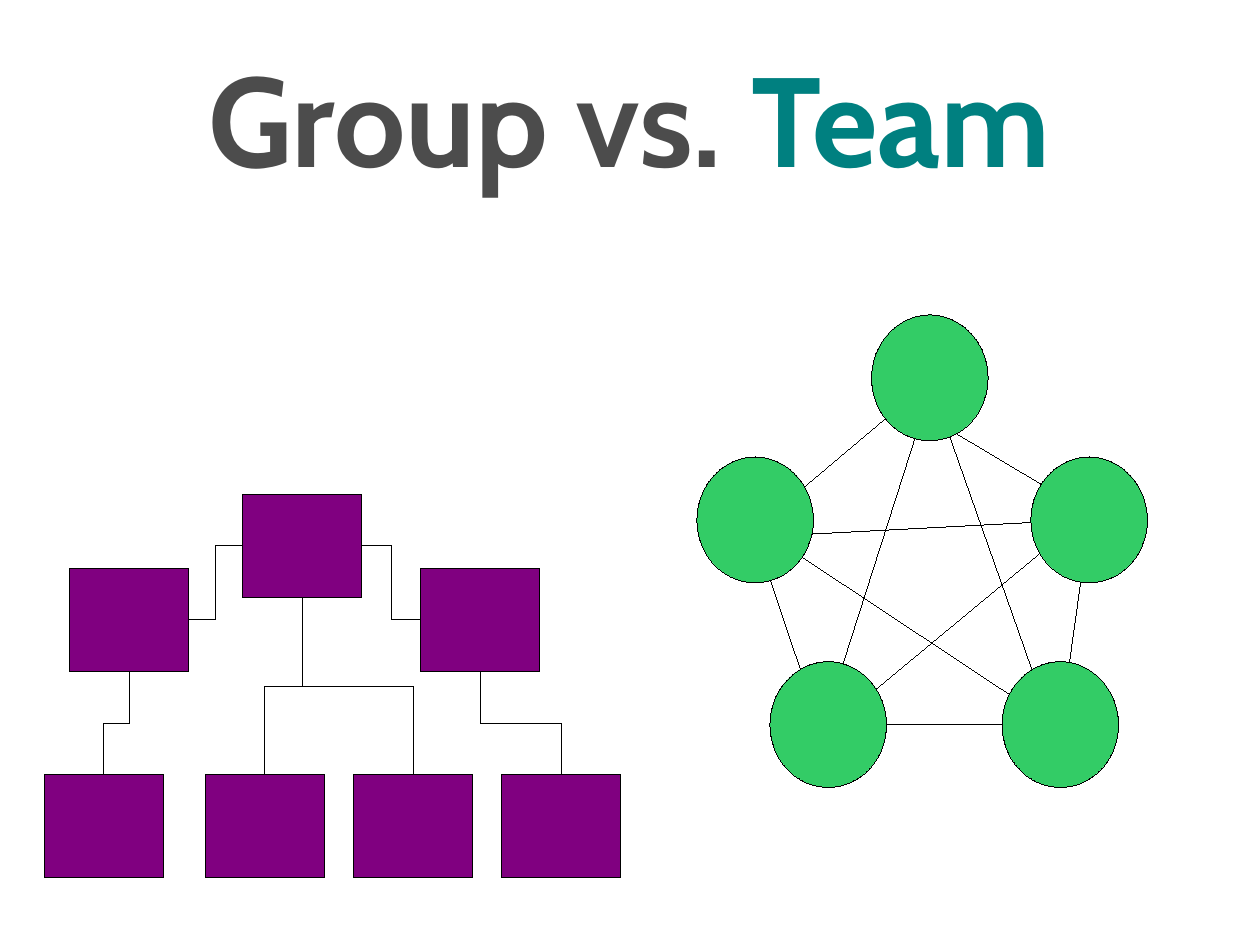
import pptx
import pptx.dml.color
import pptx.enum.shapes
import pptx.enum.text
import pptx.oxml
import pptx.oxml.ns
import pptx.util

Pt = pptx.util.Pt
RGB = pptx.dml.color.RGBColor
SHAPE = pptx.enum.shapes.MSO_SHAPE
LINK = pptx.enum.shapes.MSO_CONNECTOR
TEXT = pptx.enum.text

BLACK = RGB(0x00, 0x00, 0x00)
GREY = RGB(0x4C, 0x4C, 0x4C)
TEAL = RGB(0x00, 0x80, 0x80)
PURPLE = RGB(0x80, 0x00, 0x80)
GREEN = RGB(0x33, 0xCC, 0x66)

HAIR = Pt(0.01)
TOP, LEFT, BOTTOM, RIGHT = range(4)
SIZE = {"slide_width": Pt(793.7), "slide_height": Pt(595.28)}
FRAME = {"margin_left": 0, "margin_right": 0, "margin_top": 0, "margin_bottom": 0,
         "word_wrap": True, "vertical_anchor": TEXT.MSO_ANCHOR.MIDDLE}
FONT = {"name": "Cabin", "size": Pt(80), "bold": True}

# Offsets in points from the corner of each diagram's box
BOSS = (124.8, 0)
LEADS = [(15.8, 46.6), (236.9, 46.6)]
STAFF = [(0, 176.6), (101.4, 176.6), (194.8, 176.6), (288.2, 176.6)]
MATES = [(0, 89.5), (46, 218.4), (110, 0), (192.2, 218.4), (210.4, 89.5)]
TIES = [
    (146.4, 49.2, 83, 247.9), (137.7, 59.3, 237.8, 119),
    (146.4, 39.8, 219.8, 247.9), (137.7, 49.2, 54.9, 119),
    (36.9, 139.2, 73.6, 247.9), (83, 258, 219.8, 258),
    (247.2, 129.1, 229.2, 258), (49.9, 139.2, 242.1, 129.1),
    (229.2, 139.2, 73.6, 268.1), (210.4, 247.9, 46.3, 139.2),
]


def style(item, values):
    for key, value in values.items():
        setattr(item, key, value)


def outline(item):
    item.line.color.rgb = BLACK
    item.line.width = HAIR


def node(slide, kind, box, color):
    shape = slide.shapes.add_shape(kind, *map(Pt, box))
    shape.shadow.inherit = False
    shape.fill.solid()
    shape.fill.fore_color.rgb = color
    outline(shape)
    return shape


def link(slide, kind, ends):
    line = slide.shapes.add_connector(kind, *ends)
    outline(line)
    line._element.spPr.append(pptx.oxml.parse_xml(
        "<a:effectLst %s/>" % pptx.oxml.ns.nsdecls("a")))
    return line


def join(slide, start, start_side, end, end_side):
    line = link(slide, LINK.ELBOW, (start.left, start.top, end.left, end.top))
    line.begin_connect(start, start_side)
    line.end_connect(end, end_side)
    return line


def drop(slide, boss, child):
    """Join two boxes by an elbow that leaves downwards."""
    line = join(slide, boss, BOTTOM, child, TOP)
    across = line.end_x - line.begin_x
    down = line.end_y - line.begin_y
    mid_x = (line.begin_x + line.end_x) // 2
    mid_y = (line.begin_y + line.end_y) // 2
    style(line, {"left": mid_x - down // 2, "top": mid_y - abs(across) // 2,
                 "width": down, "height": abs(across)})
    turn = 270 if across > 0 else 90
    style(line._element.spPr.get_or_add_xfrm(),
          {"rot": turn, "flipH": across > 0, "flipV": False})


def title(slide, x, y, w, h):
    frame = slide.shapes.add_textbox(*map(Pt, (x, y, w, h))).text_frame
    style(frame, FRAME)
    para = frame.paragraphs[0]
    para.alignment = TEXT.PP_ALIGN.CENTER
    for text, color in [("Group vs.", GREY), (" Team", TEAL)]:
        run = para.add_run()
        run.text = text
        style(run.font, FONT)
        run.font.color.rgb = color


def group(slide, x, y, w, h):
    """Draw the tree of boxes, each w by h."""
    def box(spot):
        return node(slide, SHAPE.RECTANGLE, (x + spot[0], y + spot[1], w, h), PURPLE)

    boss = box(BOSS)
    left, right = map(box, LEADS)
    staff = [box(spot) for spot in STAFF]
    for lead, child in zip((left, boss, boss, right), staff):
        drop(slide, lead, child)
    join(slide, left, RIGHT, boss, LEFT)
    join(slide, boss, RIGHT, right, LEFT)


def team(slide, x, y, w, h):
    """Draw the net of ellipses, each w by h."""
    for x1, y1, x2, y2 in TIES:
        link(slide, LINK.STRAIGHT, map(Pt, (x + x1, y + y1, x + x2, y + y2)))
    for left, top in MATES:
        node(slide, SHAPE.OVAL, (x + left, y + top, w, h), GREEN)


def main():
    deck = pptx.Presentation()
    style(deck, SIZE)
    slide = deck.slides.add_slide(deck.slide_layouts[6])
    title(slide, 39.6, 19.1, 714.2, 108.7)
    group(slide, 28, 311.4, 75, 65)
    team(slide, 439, 198.4, 73.4, 79.2)
    deck.save("out.pptx")


if __name__ == "__main__":
    main()
